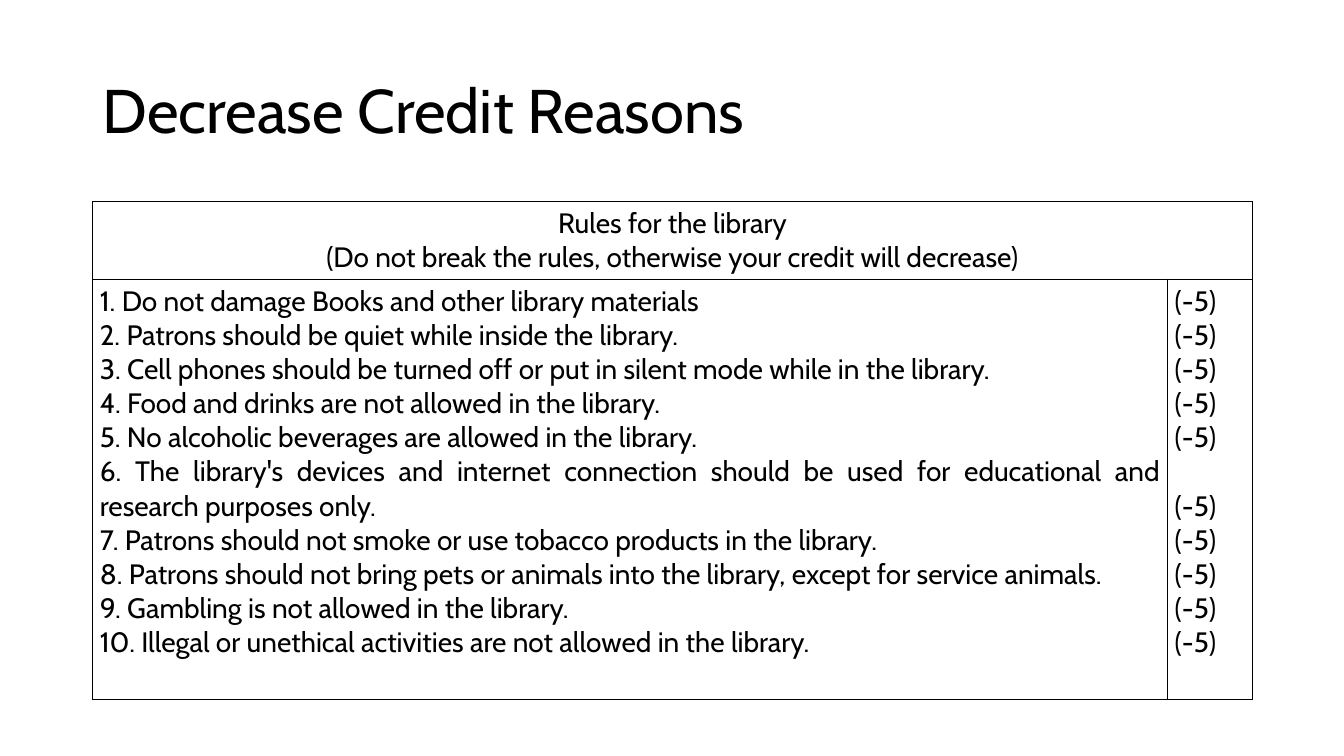
import pptx
import pptx.dml.color
import pptx.enum.text
import pptx.oxml
import pptx.oxml.ns
import pptx.util

Inches, Pt = pptx.util.Inches, pptx.util.Pt
ALIGN = pptx.enum.text.PP_ALIGN
ANCHOR = pptx.enum.text.MSO_ANCHOR

TITLE = "Decrease Credit Reasons"
HEADING = [
    "Rules for the library",
    "(Do not break the rules, otherwise your credit will decrease)",
]
RULES = [
    ("Do not damage Books and other library materials", -5),
    ("Patrons should be quiet while inside the library.", -5),
    ("Cell phones should be turned off or put in silent mode while in the library.", -5),
    ("Food and drinks are not allowed in the library.", -5),
    ("No alcoholic beverages are allowed in the library.", -5),
    ("The library's devices and internet connection should be used for educational "
     "and research purposes only.", -5),
    ("Patrons should not smoke or use tobacco products in the library.", -5),
    ("Patrons should not bring pets or animals into the library, except for service animals.", -5),
    ("Gambling is not allowed in the library.", -5),
    ("Illegal or unethical activities are not allowed in the library.", -5),
]
FONT = "Cabin"
INK = "000000"
LEFT, WIDTH = 0.92, 11.5
COLUMN_WIDTHS = [10.66, 0.84]
ROW_HEIGHTS = [0.77, 4.17]
LINE_HEIGHT = 24.4
LINE_CAPACITY = 90


def color(hex_text):
    return pptx.dml.color.RGBColor.from_string(hex_text)


def write(frame, text, size=20, align=ALIGN.LEFT, line_spacing=None, space_before=0):
    paragraph = frame.paragraphs[0]
    if paragraph.runs:
        paragraph = frame.add_paragraph()
    paragraph.alignment = align
    paragraph.line_spacing = line_spacing
    paragraph.space_before = Pt(space_before)
    run = paragraph.add_run()
    run.text = text
    run.font.name = FONT
    run.font.size = Pt(size)
    run.font.color.rgb = color(INK)


def format_cell(cell):
    cell.margin_left = cell.margin_right = Inches(0.07)
    cell.margin_top = cell.margin_bottom = Inches(0.05)
    properties = cell._tc.get_or_add_tcPr()
    for side in ("lnL", "lnR", "lnT", "lnB"):
        properties.append(pptx.oxml.parse_xml(
            f'<a:{side} {pptx.oxml.ns.nsdecls("a")} w="{Pt(0.75)}">'
            f'<a:solidFill><a:srgbClr val="{INK}"/></a:solidFill></a:{side}>'))
    cell.fill.background()


presentation = pptx.Presentation()
presentation.slide_width = Inches(13.33)
presentation.slide_height = Inches(7.5)
slide = presentation.slides.add_slide(presentation.slide_layouts[6])

title = slide.shapes.add_textbox(
    Inches(LEFT), Inches(0.4), Inches(WIDTH), Inches(1.45)).text_frame
title.word_wrap = True
title.vertical_anchor = ANCHOR.MIDDLE
write(title, TITLE, size=44, line_spacing=0.9)

rules_table = slide.shapes.add_table(
    2, 2, Inches(LEFT), Inches(2), Inches(WIDTH), Inches(sum(ROW_HEIGHTS))).table
rules_table.first_row = rules_table.horz_banding = False
for column, width in zip(rules_table.columns, COLUMN_WIDTHS):
    column.width = Inches(width)
for row, height in zip(rules_table.rows, ROW_HEIGHTS):
    row.height = Inches(height)
for cell in rules_table.iter_cells():
    format_cell(cell)

heading = rules_table.cell(0, 0)
heading.merge(rules_table.cell(0, 1))
for line in HEADING:
    write(heading.text_frame, line, align=ALIGN.CENTER)

rules = rules_table.cell(1, 0).text_frame
penalties = rules_table.cell(1, 1).text_frame
for number, (rule, penalty) in enumerate(RULES, 1):
    extra_lines = len(rule) // LINE_CAPACITY
    write(rules, f"{number}. {rule}", align=ALIGN.JUSTIFY)
    write(penalties, f"({penalty})", space_before=extra_lines * LINE_HEIGHT)

presentation.save("out.pptx")
